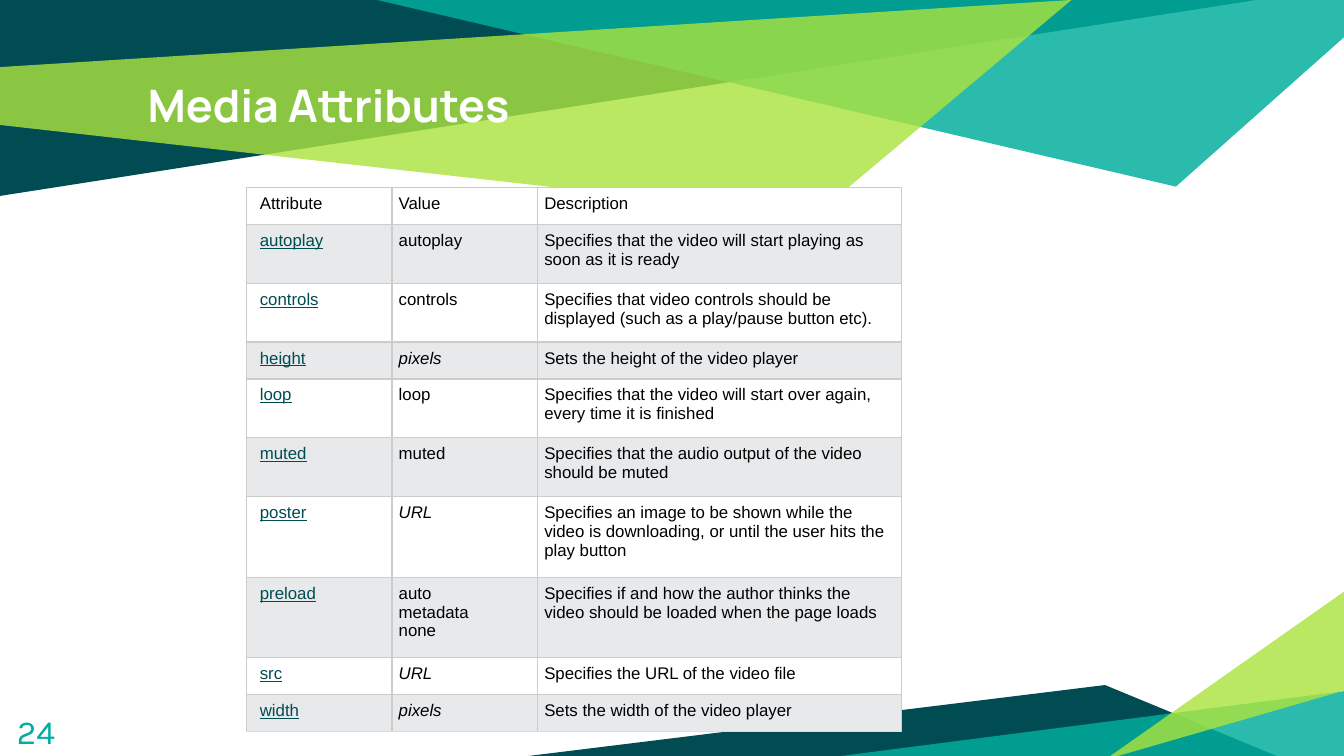
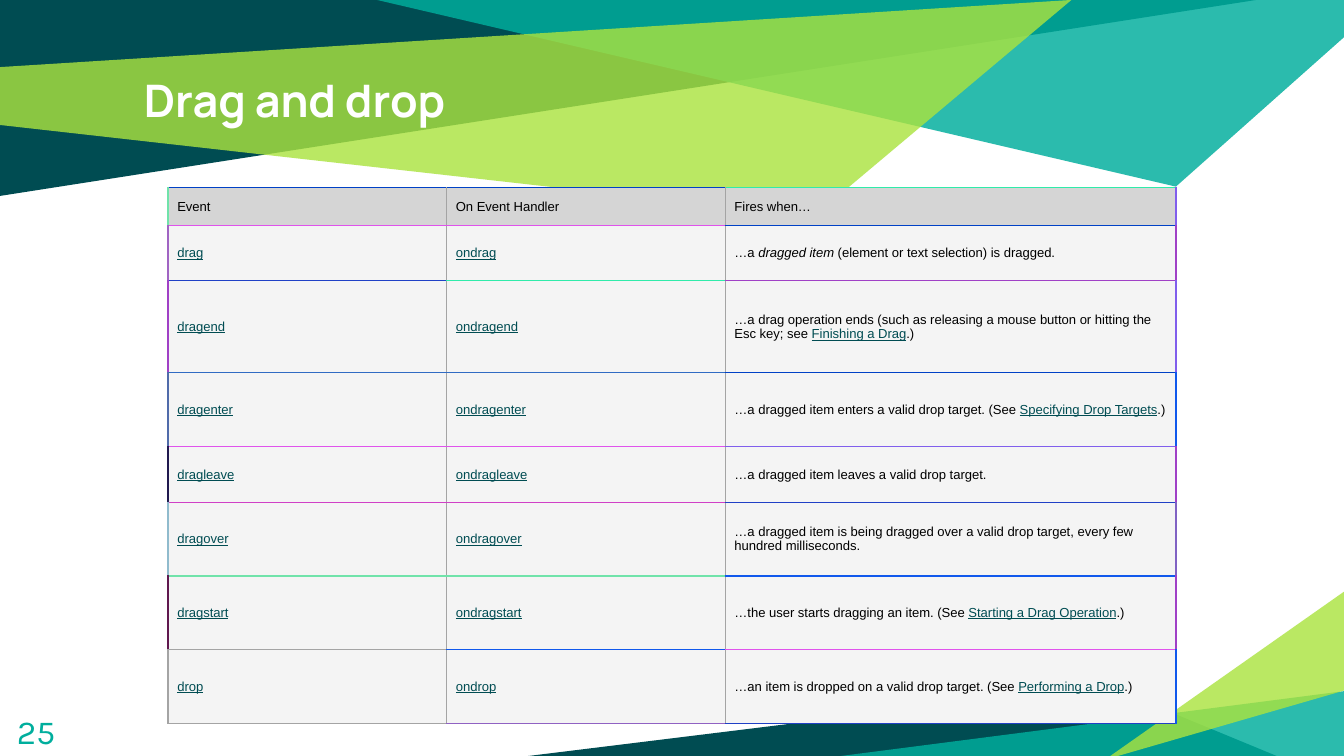
import pptx
import pptx.dml.color
import pptx.enum.text
import pptx.oxml
import pptx.oxml.ns
import pptx.util

Pt = pptx.util.Pt

DARK, TEAL, LIME = "004C52", "00AE9D", "ABE33F"
WHITE, BLACK, GREY = "FFFFFF", "000000", "A4A4A4"

BANDS = [
    (DARK, 100, [(0, 0), (0, 105), (673, 0)]),
    (TEAL, 83, [(201.5, 0), (630, 100), (720, 20), (720, 0)]),
    (LIME, 81, [(-0.5, 36.5), (0, 67), (435.5, 116), (574, 0)]),
    (DARK, 100, [(283, 405), (684, 405), (592.5, 367)]),
    (TEAL, 83, [(721.5, 369.5), (721.5, 407), (435, 407)]),
    (LIME, 81, [(720.5, 370), (720.5, 317), (592.5, 407)]),
]


def link(text):
    return (text, "link")


def italic(text):
    return (text, "italic")


ATTRIBUTES = [
    (1, "Attribute", "Value", "Description"),
    (2, link("autoplay"), "autoplay",
     "Specifies that the video will start playing as soon as it is ready"),
    (2, link("controls"), "controls",
     "Specifies that video controls should be displayed (such as a play/pause button etc)."),
    (1, link("height"), italic("pixels"), "Sets the height of the video player"),
    (2, link("loop"), "loop",
     "Specifies that the video will start over again, every time it is finished"),
    (2, link("muted"), "muted",
     "Specifies that the audio output of the video should be muted"),
    (3, link("poster"), italic("URL"),
     "Specifies an image to be shown while the video is downloading, "
     "or until the user hits the play button"),
    (3, link("preload"), "auto\nmetadata\nnone",
     "Specifies if and how the author thinks the video should be loaded when the page loads"),
    (1, link("src"), italic("URL"), "Specifies the URL of the video file"),
    (1, link("width"), italic("pixels"), "Sets the width of the video player"),
]

EVENTS = [
    (29.6, "drag", ["…a ", italic("dragged item"), " (element or text selection) is dragged."]),
    (49.3, "dragend", ["…a drag operation ends (such as releasing a mouse button or hitting "
                       "the Esc key; see ", link("Finishing a Drag"), ".)"]),
    (39.6, "dragenter", ["…a dragged item enters a valid drop target. (See ",
                         link("Specifying Drop Targets"), ".)"]),
    (29.8, "dragleave", "…a dragged item leaves a valid drop target."),
    (39.5, "dragover", "…a dragged item is being dragged over a valid drop target, "
                       "every few hundred milliseconds."),
    (39.5, "dragstart", ["…the user starts dragging an item. (See ",
                         link("Starting a Drag Operation"), ".)"]),
    (39.5, "drop", ["…an item is dropped on a valid drop target. (See ",
                    link("Performing a Drop"), ".)"]),
]
EVENT_RULES = [
    ("0041C6", "0042C6", "30EBAA"),
    ("E053EC", "E053EC", "0041C6"),
    ("2041C6", "30EBAA", "A041C6"),
    ("306BC3", "306BC3", "0041C6"),
    ("E053EC", "E053EC", "805EEC"),
    ("D040C6", "D040C6", "2040C6"),
    ("70E3AA", "70E3AA", "1058EC"),
    (GREY, "1058EC", "E053EC"),
    (GREY, "9062C3", "2040C6"),
]
EVENT_LEFT = ["70E3AA", "A064C3", "A040C6", "506BAA", "20194F", "90BBCD", "60184F", GREY]
EVENT_RIGHT = ["805EEC", "A041C6", "805EEC", "1058EC", "A040C6", "8062C3", "A040C6", "1058EC"]


def rgb(color):
    return pptx.dml.color.RGBColor.from_string(color)


def add_band(slide, color, opacity, corners):
    builder = slide.shapes.build_freeform(*corners[0], scale=Pt(1))
    builder.add_line_segments(corners[1:], close=True)
    band = builder.convert_to_shape()
    band.shadow.inherit = False
    band.line.fill.background()
    band.fill.solid()
    band.fill.fore_color.rgb = rgb(color)
    if opacity < 100:
        tint = band.fill._xPr.find(".//" + pptx.oxml.ns.qn("a:srgbClr"))
        tint.append(pptx.oxml.parse_xml(
            f'<a:alpha {pptx.oxml.ns.nsdecls("a")} val="{opacity * 1000}"/>'))


def add_label(slide, text, box, size, face, color, bold=False):
    frame = slide.shapes.add_textbox(*map(Pt, box)).text_frame
    frame.word_wrap = True
    frame.margin_left = frame.margin_right = Pt(7.2)
    frame.margin_top = frame.margin_bottom = Pt(7.2)
    line = frame.paragraphs[0]
    line.text = text
    line.font.size, line.font.name, line.font.bold = Pt(size), face, bold
    line.font.color.rgb = rgb(color)


def add_slide(deck, title, title_at, number):
    slide = deck.slides.add_slide(deck.slide_layouts[6])
    for band in BANDS:
        add_band(slide, *band)
    add_label(slide, title, (*title_at, 580, 67.5), 24, "Manrope", WHITE, True)
    add_label(slide, number, (2, 373.5, 43, 31), 18, "Karla", TEAL)
    return slide


def add_grid(slide, left, top, widths, heights):
    grid = slide.shapes.add_table(len(heights), len(widths), Pt(left), Pt(top),
                                  Pt(sum(widths)), Pt(sum(heights))).table
    grid.first_row = grid.horz_banding = False
    for column, width in zip(grid.columns, widths):
        column.width = Pt(width)
    for row, height in zip(grid.rows, heights):
        row.height = Pt(height)
    return grid


def fill_cell(cell, content, size, fill, margins, borders):
    cell.fill.solid()
    cell.fill.fore_color.rgb = rgb(fill)
    cell.margin_left, cell.margin_top, cell.margin_right, cell.margin_bottom = map(Pt, margins)
    line = cell.text_frame.paragraphs[0]
    line.font.size, line.font.name = Pt(size), "Arial"
    line.font.color.rgb = rgb(BLACK)
    for piece in content if isinstance(content, list) else [content]:
        words, style = piece if isinstance(piece, tuple) else (piece, "plain")
        for index, part in enumerate(words.split("\n")):
            if index:
                line.add_line_break()
            run = line.add_run()
            run.text = part
            run.font.size, run.font.name = Pt(size), "Arial"
            run.font.color.rgb = rgb(DARK if style == "link" else BLACK)
            if style == "link":
                run.font.underline = True
            if style == "italic":
                run.font.italic = True
    properties = cell._tc.get_or_add_tcPr()
    for index, (side, color) in enumerate(zip("LRTB", borders)):
        properties.insert(index, pptx.oxml.parse_xml(
            f'<a:ln{side} {pptx.oxml.ns.nsdecls("a")} w="{Pt(0.75)}"><a:solidFill>'
            f'<a:srgbClr val="{color}"/></a:solidFill></a:ln{side}>'))


def add_attributes(slide):
    heights = [8.1 + 11.7 * lines for lines, *_ in ATTRIBUTES]
    grid = add_grid(slide, 132, 100.5, [78, 78, 195], heights)
    for r, (_, *contents) in enumerate(ATTRIBUTES):
        bottom = "DDDDDD" if r == len(ATTRIBUTES) - 1 else "CCCCCC"
        for c, content in enumerate(contents):
            margins = (3.6 if c else 7.2, 3.6, 3.6, 3.6)
            fill_cell(grid.cell(r, c), content, 9, "E7E9EB" if r % 2 else WHITE,
                      margins, ["CCCCCC"] * 3 + [bottom])


def add_events(slide):
    rows = [("Event", "On Event Handler", "Fires when…")]
    rows += [(link(name), link("on" + name), meaning) for _, name, meaning in EVENTS]
    heights = [20.3] + [height for height, *_ in EVENTS]
    grid = add_grid(slide, 90, 100.5, [149.25, 149.25, 241.5], heights)
    for r, contents in enumerate(rows):
        uprights = [EVENT_LEFT[r], GREY, GREY, EVENT_RIGHT[r]]
        for c, content in enumerate(contents):
            borders = uprights[c:c + 2] + [EVENT_RULES[r][c], EVENT_RULES[r + 1][c]]
            cell = grid.cell(r, c)
            fill_cell(cell, content, 7, "F4F4F4" if r else "D5D5D5", [5] * 4, borders)
            cell.vertical_anchor = pptx.enum.text.MSO_ANCHOR.MIDDLE


def main():
    deck = pptx.Presentation()
    deck.slide_width, deck.slide_height = Pt(720), Pt(405)
    add_attributes(add_slide(deck, "Media Attributes", (72, 34.5), "24"))
    add_events(add_slide(deck, "Drag and drop", (70, 31.5), "25"))
    deck.save("out.pptx")


if __name__ == "__main__":
    main()
